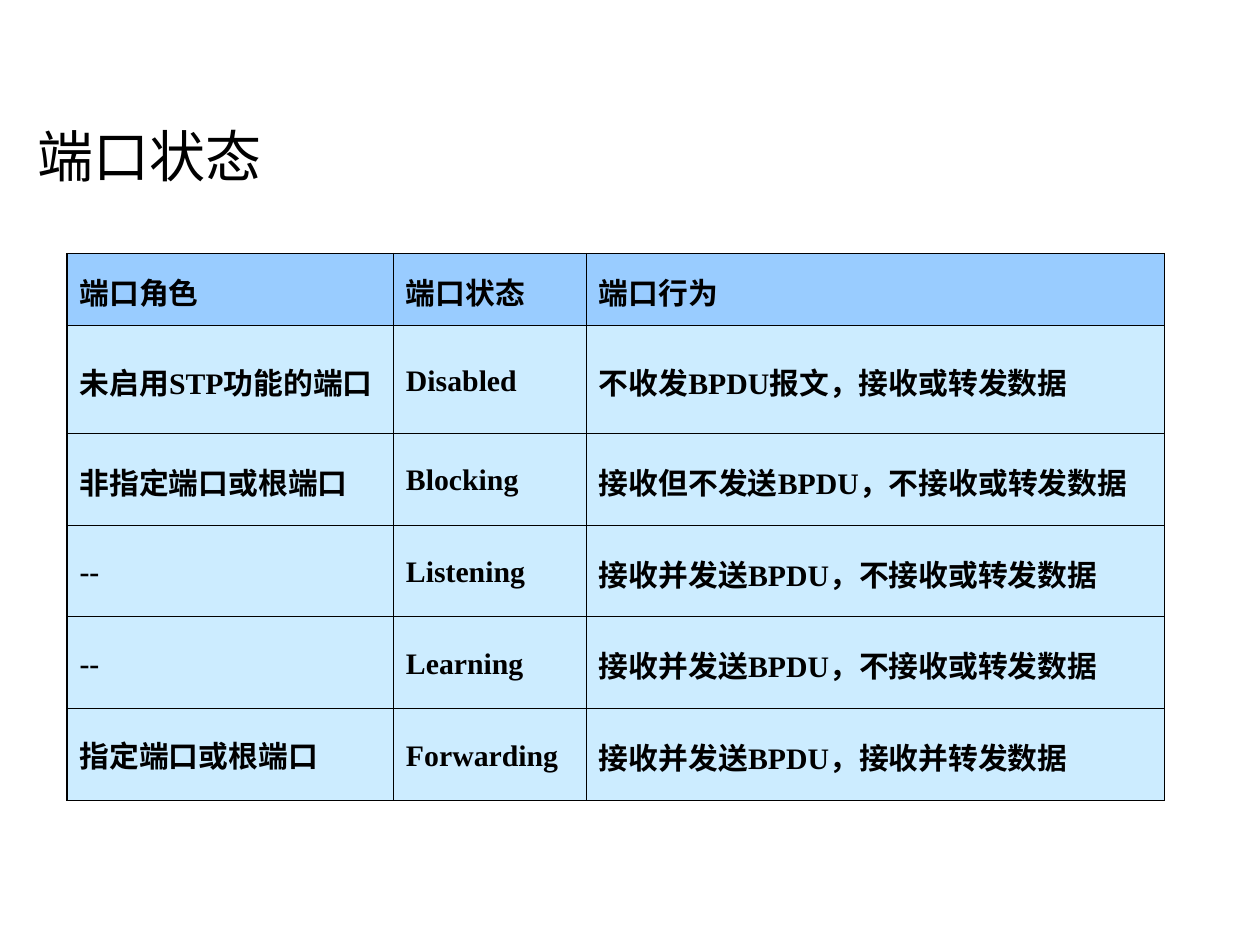
from lxml.etree import SubElement
from pptx import Presentation
from pptx.dml.color import RGBColor
from pptx.enum.text import MSO_ANCHOR, PP_ALIGN
from pptx.oxml.ns import qn
from pptx.util import Cm, Pt

TITLE = "端口状态"
ROWS = [
    ("端口角色", "端口状态", "端口行为"),
    ("未启用STP功能的端口", "Disabled", "不收发BPDU报文，接收或转发数据"),
    ("非指定端口或根端口", "Blocking", "接收但不发送BPDU，不接收或转发数据"),
    ("--", "Listening", "接收并发送BPDU，不接收或转发数据"),
    ("--", "Learning", "接收并发送BPDU，不接收或转发数据"),
    ("指定端口或根端口", "Forwarding", "接收并发送BPDU，接收并转发数据"),
]
WIDTHS = (6.58, 3.89, 11.66)
HEIGHTS = [1.45] + [1.85] * (len(ROWS) - 1)
INK, HEAD, BODY = "000000", "99CCFF", "CCECFF"


def color(code):
    return RGBColor.from_string(code)


def style(para, name, size, bold):
    font = para.font
    font.name, font.size, font.bold = name, Pt(size), bold
    font.color.rgb = color(INK)


def border(cell):
    props = cell._tc.get_or_add_tcPr()
    for side in ("lnL", "lnR", "lnT", "lnB"):
        line = SubElement(props, qn(f"a:{side}"), w=str(Pt(0.75)))
        fill = SubElement(line, qn("a:solidFill"))
        SubElement(fill, qn("a:srgbClr"), val=INK)


def add_title(slide):
    title = slide.shapes.title
    title.left, title.top = Cm(0.51), Cm(2.51)
    title.width, title.height = Cm(19.41), Cm(1.22)
    frame = title.text_frame
    frame.text = TITLE
    frame.vertical_anchor = MSO_ANCHOR.MIDDLE
    para = frame.paragraphs[0]
    para.alignment = PP_ALIGN.LEFT
    style(para, "Arial", 32, False)


def add_grid(slide):
    grid = slide.shapes.add_table(
        len(ROWS), len(WIDTHS), Cm(1.35), Cm(5.11),
        Cm(sum(WIDTHS)), Cm(sum(HEIGHTS))).table
    for col, width in zip(grid.columns, WIDTHS):
        col.width = Cm(width)
    for r, (row, high, texts) in enumerate(zip(grid.rows, HEIGHTS, ROWS)):
        row.height = Cm(high)
        for cell, text in zip(row.cells, texts):
            cell.text = text
            cell.vertical_anchor = MSO_ANCHOR.MIDDLE
            border(cell)
            cell.fill.solid()
            cell.fill.fore_color.rgb = color(BODY if r else HEAD)
            para = cell.text_frame.paragraphs[0]
            para.line_spacing = 1.1
            style(para, "Times New Roman", 17, True)
    last = grid.cell(len(ROWS) - 1, 0).text_frame.paragraphs[0]
    last.line_spacing = 1.0


def main():
    """Build the slide of port roles, states and behaviours."""
    deck = Presentation()
    deck.slide_width, deck.slide_height = Cm(25.4), Cm(19.05)
    slide = deck.slides.add_slide(deck.slide_layouts[5])
    add_title(slide)
    add_grid(slide)
    deck.save("out.pptx")


if __name__ == "__main__":
    main()
